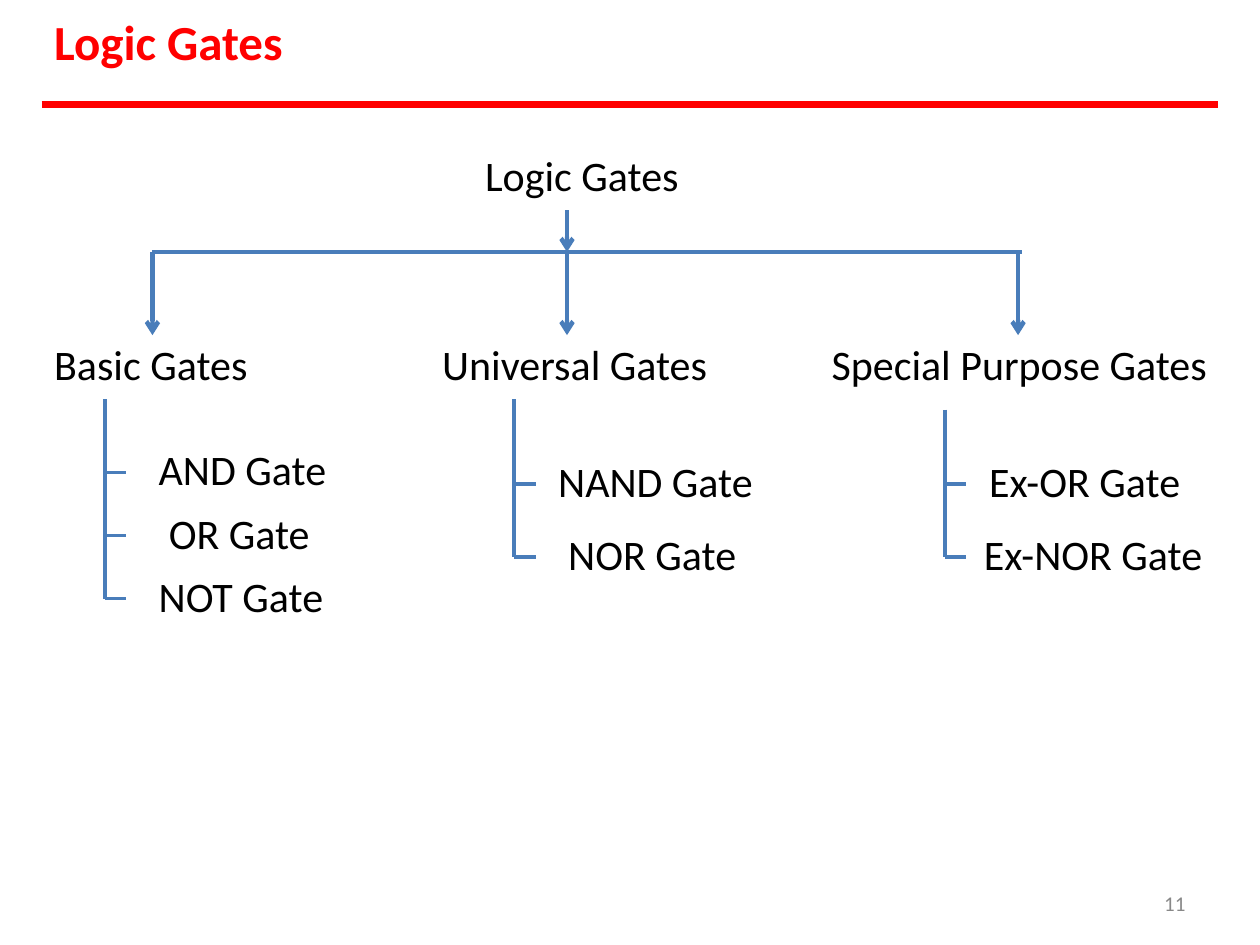
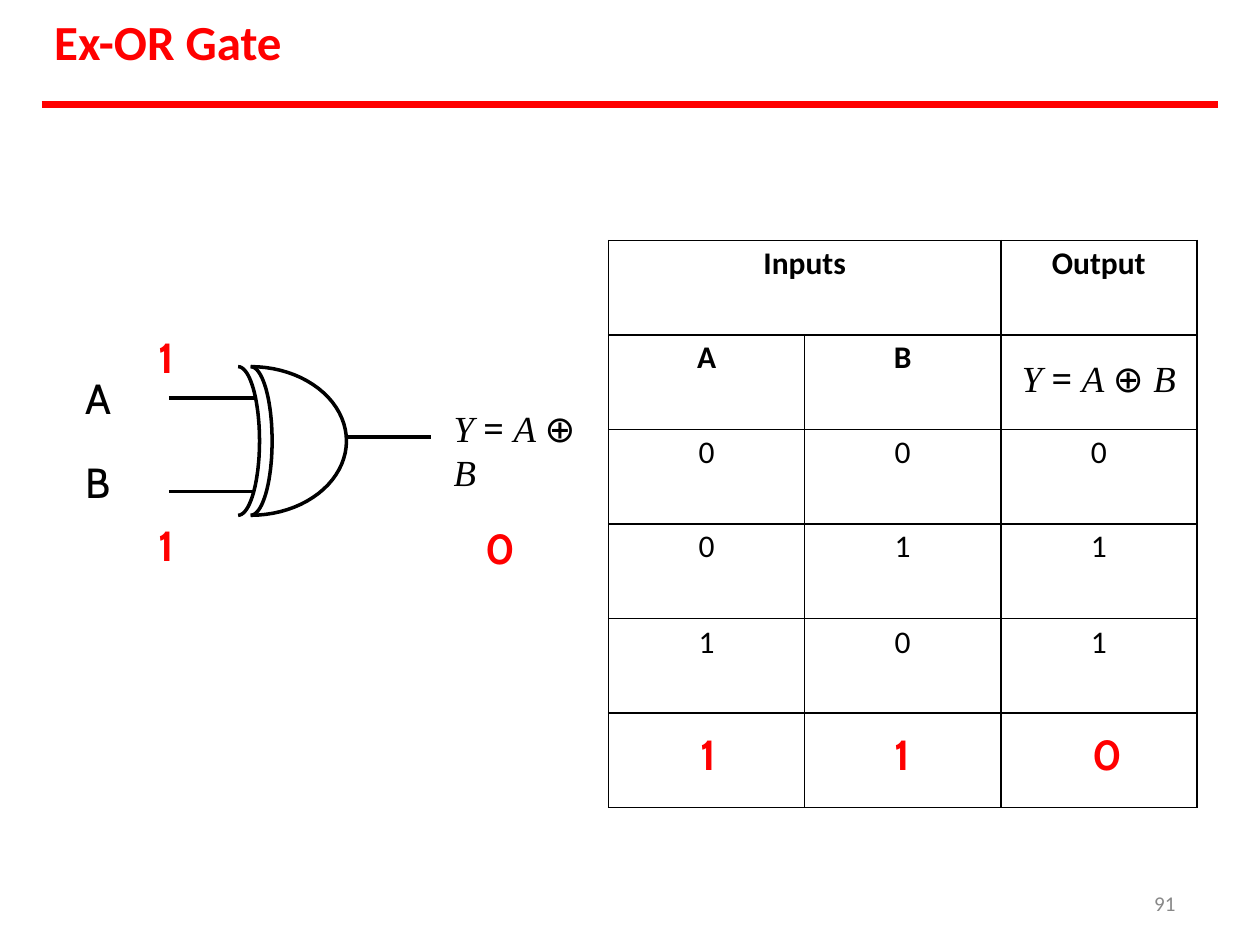
import math
from dataclasses import dataclass

from lxml import etree
from pptx import Presentation
from pptx import util as u
from pptx.dml.color import RGBColor
from pptx.enum import shapes, text
from pptx.oxml import ns

Inches = u.Inches


def text_style(size, name, color, **extra):
    return {"font": {"size": u.Pt(size), "name": name, **extra},
            "color": RGBColor.from_string(color)}


@dataclass(frozen=True)
class Theme:
    """Colours, type sizes and line widths."""
    black = RGBColor.from_string("000000")
    red = RGBColor.from_string("FF0000")
    blue = RGBColor.from_string("497DBA")
    title = text_style(28, "Calibri", "FF0000", bold=True)
    label = text_style(24, "Calibri", "000000")
    signal = text_style(24, "Cabin", "000000")
    value = text_style(24, "Cabin", "FF0000", bold=True)
    header = text_style(18, "Calibri", "000000", bold=True)
    cell = text_style(18, "Calibri", "000000", bold=False)
    variable = text_style(21, "Times New Roman", "000000", italic=True, bold=False)
    operator = text_style(21, "Noto Sans", "000000", italic=False, bold=False)
    number = text_style(12, "Calibri", "888888")
    rule_width, arrow_width, branch_width, gate_width = 4, 2.5, 2.25, 2
    border_width = 1


def apply(target, values):
    for name, value in values.items():
        setattr(target, name, value)


class Deck:
    def __init__(self, theme):
        self.theme = theme
        self.presentation = Presentation()
        apply(self.presentation, {"slide_width": Inches(10), "slide_height": Inches(7.5)})
        self.slide = None

    # Shared frame: title, red rule and page number
    def add_slide(self, title, number, number_left):
        self.slide = self.presentation.slides.add_slide(self.presentation.slide_layouts[5])
        shape = self.slide.shapes.title
        apply(shape, {"left": Inches(0.42), "top": Inches(0.08),
                      "width": Inches(1.86), "height": Inches(0.5)})
        self.fill_frame(shape.text_frame, [self.line_of(title, self.theme.title)])
        self.line(0.33, 0.83, 9.67, 0.83, self.theme.red, self.theme.rule_width)
        self.text(number_left, 7.07, 9.44 - number_left, 0.19,
                  [self.line_of(number, self.theme.number, indent=0.02)], top_inset=0)

    # Text
    @staticmethod
    def line_of(words, style, indent=0, **paragraph_format):
        return {"runs": [(words, style)], "indent": indent, "format": paragraph_format}

    def add_lines(self, frame, lines):
        for index, line in enumerate(lines):
            paragraph = frame.paragraphs[0] if index == 0 else frame.add_paragraph()
            properties = paragraph._p.get_or_add_pPr()
            properties.set("marL", str(Inches(line["indent"])))
            properties.set("indent", "0")
            apply(paragraph, {"alignment": text.PP_ALIGN.LEFT, "space_before": u.Pt(0),
                              **line["format"]})
            for words, style in line["runs"]:
                run = paragraph.add_run()
                run.text = words
                apply(run.font, style["font"])
                run.font.color.rgb = style["color"]

    def fill_frame(self, frame, lines, top_inset=0.01):
        apply(frame, {"word_wrap": True, "auto_size": text.MSO_AUTO_SIZE.NONE,
                      "vertical_anchor": text.MSO_ANCHOR.TOP,
                      "margin_left": Inches(0.01), "margin_top": Inches(top_inset),
                      "margin_right": 0, "margin_bottom": 0})
        self.add_lines(frame, lines)

    def text(self, left, top, width, height, lines, top_inset=0.01):
        box = self.slide.shapes.add_textbox(*map(Inches, (left, top, width, height)))
        self.fill_frame(box.text_frame, lines, top_inset)

    # Lines, arrows and curves
    def line(self, x1, y1, x2, y2, color, width, arrow=False):
        connector = self.slide.shapes.add_connector(
            shapes.MSO_CONNECTOR.STRAIGHT, *map(Inches, (x1, y1, x2, y2)))
        connector.line.color.rgb = color
        connector.line.width = u.Pt(width)
        properties = connector._element.spPr
        if arrow:
            outline = properties.find(ns.qn("a:ln"))
            etree.SubElement(outline, ns.qn("a:tailEnd"), type="arrow")
        etree.SubElement(properties, ns.qn("a:effectLst"))

    def half_ellipse(self, left, middle, x_radius, y_radius, steps=40):
        angles = [math.pi * (step / steps - 0.5) for step in range(steps + 1)]
        points = [(Inches(left + x_radius * math.cos(angle)),
                   Inches(middle + y_radius * math.sin(angle))) for angle in angles]
        builder = self.slide.shapes.build_freeform(*points[0])
        builder.add_line_segments(points[1:], close=False)
        curve = builder.convert_to_shape()
        curve.shadow.inherit = False
        curve.fill.background()
        curve.line.color.rgb = self.theme.black
        curve.line.width = u.Pt(self.theme.gate_width)

    # Table
    def border(self, cell):
        properties = cell._tc.get_or_add_tcPr()
        for side in ("lnL", "lnR", "lnT", "lnB"):
            edge = etree.SubElement(properties, ns.qn(f"a:{side}"),
                                    w=str(u.Pt(self.theme.border_width)))
            fill = etree.SubElement(edge, ns.qn("a:solidFill"))
            etree.SubElement(fill, ns.qn("a:srgbClr"), val=str(self.theme.black))

    def table(self, left, top, width, height, rows, top_insets):
        """Each cell is a line, or None where the cell to its left spans it."""
        frame = self.slide.shapes.add_table(
            len(rows), len(rows[0]), *map(Inches, (left, top, width, height)))
        table = frame.table
        apply(table, {"first_row": False, "horz_banding": False})
        for row_index, row in enumerate(rows):
            for column_index, line in enumerate(row):
                cell = table.cell(row_index, column_index)
                self.border(cell)
                cell.fill.background()
                apply(cell, {"margin_left": 0, "margin_right": 0, "margin_bottom": 0,
                             "margin_top": Inches(top_insets[row_index])})
                if line is None:
                    table.cell(row_index, column_index - 1).merge(cell)
                else:
                    line["format"]["alignment"] = text.PP_ALIGN.CENTER
                    self.add_lines(cell.text_frame, [line])
        return table

    def equation(self):
        variable, operator = self.theme.variable, self.theme.operator
        return {"runs": [("Y ", variable), ("= ", operator), ("A ", variable),
                         ("⊕ ", operator), ("B", variable)], "indent": 0, "format": {}}


def add_gate_tree(deck):
    theme = deck.theme
    deck.add_slide("Logic Gates", "11", 9.21)
    deck.text(3.84, 1.18, 1.56, 0.43, [deck.line_of("Logic Gates", theme.label)])

    # Trunk and the arrows
    deck.line(1.21, 2, 8.11, 2, theme.blue, theme.arrow_width)
    deck.line(4.5, 1.67, 4.5, 2, theme.blue, theme.arrow_width, arrow=True)
    for x in (1.21, 4.5, 8.08):
        deck.line(x, 2, x, 2.66, theme.blue, theme.arrow_width, arrow=True)

    # Families: heading box, stem, first tick and step, list box, spacing, (gate, indent)
    families = [
        ("Basic Gates", 0.42, 1.57, (0.83, 3.17), (3.75, 0.5), (1.25, 3.41, 1.36, 1.54), 1.26,
         [("AND Gate", 0), ("OR Gate", 0.08), ("NOT Gate", 0)]),
        ("Universal Gates", 3.5, 2.13, (4.08, 3.17), (3.84, 0.58), (4.42, 3.42, 1.58, 1.2), 1.46,
         [("NAND Gate", 0), ("NOR Gate", 0.08)]),
        ("Special Purpose Gates", 6.59, 3.01, (7.5, 3.25), (3.84, 0.58), (7.8, 3.42, 1.77, 1.2),
         1.46, [("Ex-OR Gate", 0.04), ("Ex-NOR Gate", 0)]),
    ]
    for heading, left, width, (x, top), (first, step), box, spacing, gates in families:
        deck.text(left, 2.68, width, 0.43, [deck.line_of(heading, theme.label)])
        ticks = [first + step * index for index in range(len(gates))]
        deck.line(x, top, x, ticks[-1], theme.blue, theme.branch_width)
        for y in ticks:
            deck.line(x, y, x + 0.17, y, theme.blue, theme.branch_width)
        deck.text(*box, [deck.line_of(gate, theme.label, indent, line_spacing=spacing)
                         for gate, indent in gates])


def add_exor_gate(deck):
    theme = deck.theme
    deck.add_slide("Ex-OR Gate", "91", 9.13)

    # Gate symbol: two back curves, body, then input and output wires
    for left, x_radius in ((1.89, 0.17), (1.99, 0.17), (1.99, 0.76)):
        deck.half_ellipse(left, 3.5, x_radius, 0.59)
    for x, y in ((1.34, 3.16), (1.34, 3.9), (2.74, 3.47)):
        deck.line(x, y, x + 0.68, y, theme.black, theme.gate_width)

    # Signals and their values
    deck.text(0.67, 2.95, 0.23, 1.1, [
        deck.line_of("A", theme.signal),
        deck.line_of("B", theme.signal, space_before=u.Pt(19.2))])
    for top in (2.62, 4.11):
        deck.text(1.25, top, 0.24, 0.43, [deck.line_of("1", theme.value)])
    deck.text(3.59, 3.01, 1.06, 1.21, [
        deck.equation(),
        deck.line_of("0", theme.value, 0.25, space_before=u.Pt(16.5))], top_inset=0.21)

    # Truth table
    rows = [[deck.line_of("Inputs", theme.header), None, deck.line_of("Output", theme.header)],
            [deck.line_of("A", theme.header), deck.line_of("B", theme.header), deck.equation()]]
    rows += [[deck.line_of(bit, theme.cell) for bit in bits] for bits in ("000", "011", "101")]
    rows.append([deck.line_of(bit, theme.value, indent)
                 for bit, indent in (("1", 0.03), ("1", 0), ("0", 0.14))])
    truth_table = deck.table(4.83, 1.91, 4.67, 4.5, rows, [0.03, 0.03, 0.03, 0.03, 0.04, 0.13])
    truth_table.cell(1, 2).margin_top = Inches(0.14)


def main():
    deck = Deck(Theme())
    add_gate_tree(deck)
    add_exor_gate(deck)
    deck.presentation.save("out.pptx")


if __name__ == "__main__":
    main()
